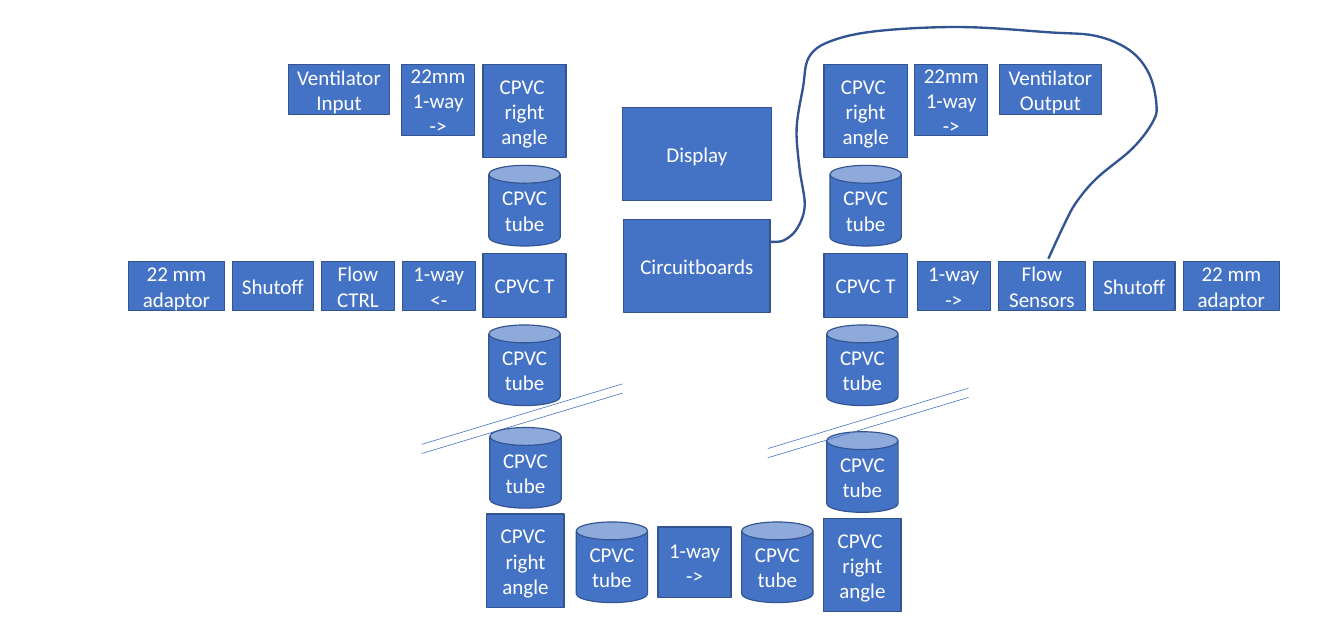
from lxml.etree import SubElement
from pptx import Presentation
from pptx.dml.color import RGBColor
from pptx.enum.shapes import MSO_CONNECTOR, MSO_SHAPE
from pptx.enum.text import MSO_ANCHOR, PP_ALIGN
from pptx.oxml.ns import qn
from pptx.util import Pt

COLORS = {"part": "4472C4", "edge": "325491", "label": "FFFFFF"}
LABEL_FONT = {"name": "Calibri", "size": Pt(18)}

# Sizes shared by several parts
PORT, VALVE, BRANCH_VALVE = (87.1, 42.5), (62.6, 60.5), (62.6, 42.5)

# Every part: (width, height), label
PARTS = {
    "input": (PORT, "Ventilator Input"),
    "output": (PORT, "Ventilator Output"),
    "port valve": (VALVE, "22mm\v1-way ->"),
    "bottom valve": (VALVE, "1-way ->"),
    "inlet valve": (BRANCH_VALVE, "1-way\n<-"),
    "outlet valve": (BRANCH_VALVE, "1-way\n->"),
    "flow control": (BRANCH_VALVE, "Flow CTRL"),
    "flow sensors": ((74.2, 42.5), "Flow Sensors"),
    "shutoff": ((69.8, 42.5), "Shutoff"),
    "adaptor": ((82.1, 42.5), "22 mm adaptor"),
    "elbow": ((71.3, 79.9), "CPVC \nright angle"),
    "lower elbow": ((66.2, 79.9), "CPVC \nright angle"),
    "tee": ((71.3, 54.7), "CPVC T"),
    "tube": ((61.2, 69.1), "CPVC tube"),
    "display": ((127.4, 79.9), "Display"),
    "boards": ((125.3, 79.9), "Circuitboards"),
}

# Levels shared by both sides, and the gaps between neighbours
PORT_TOP, BRANCH_TOP, MIDDLE_TUBE_TOP, BOTTOM_CENTER = 55.4, 223.9, 278.6, 482
COLUMN_GAP, LOWER_GAP, PORT_GAP, BOTTOM_GAP = 6.5, 5, 10.1, 9
BREAK_WIDTH, BREAK_RISE, BREAK_SPACING = 172.1, 51.8, 7.9

# Points that the sensor wire passes through, stretch by stretch
WIRE_ROUTE = {
    "up from the flow sensors": [(898.6, 221.8), (913, 190.8), (923, 172.8)],
    "slant to the right": [(940.3, 152.6), (970.6, 127.4), (987.8, 105.1)],
    "right bend": [(991.3, 90), (985, 63.4), (968.4, 43.2), (939.6, 30.9)],
    "over the top": [(900, 27.8), (824, 23.2), (752.4, 26.6), (712.1, 35.3)],
    "left bend": [(693.4, 49), (688.3, 75), (682.8, 110)],
    "down to the boards": [(685.4, 145), (689.8, 176), (683.3, 195.8),
                           (672, 206), (661, 207.4)],
}
CURVE_STEPS = 6


def set_line(line, color, width):
    line.color.rgb = RGBColor.from_string(COLORS[color])
    line.width = Pt(width)


def add_part(slide, name, left, top):
    size, label = PARTS[name]
    preset = MSO_SHAPE.CAN if name == "tube" else MSO_SHAPE.RECTANGLE
    part = slide.shapes.add_shape(
        preset, *(Pt(length) for length in (left, top, *size)))
    part.shadow.inherit = False
    part.fill.solid()
    part.fill.fore_color.rgb = RGBColor.from_string(COLORS["part"])
    set_line(part.line, "edge", 1)
    frame = part.text_frame
    frame.word_wrap = True
    frame.vertical_anchor = MSO_ANCHOR.MIDDLE
    frame.text = label
    for paragraph in frame.paragraphs:
        paragraph.alignment = PP_ALIGN.CENTER
        for run in paragraph.runs:
            for attribute, value in LABEL_FONT.items():
                setattr(run.font, attribute, value)
            run.font.color.rgb = RGBColor.from_string(COLORS["label"])


def add_row(slide, names, left, y, gap, centered=False):
    """Parts side by side; y is their top, or their middle if centered."""
    for name in names:
        (width, height), _ = PARTS[name]
        add_part(slide, name, left, y - height / 2 if centered else y)
        left += width + gap


def add_column(slide, names, center, top, gap):
    """Parts one below the other, on a common vertical axis."""
    for name in names:
        (width, height), _ = PARTS[name]
        add_part(slide, name, center - width / 2, top)
        top += height + gap


def add_break(slide, left, bottom):
    """Two parallel slanted strokes where the tubing is interrupted."""
    for y in (bottom, bottom + BREAK_SPACING):
        stroke = slide.shapes.add_connector(
            MSO_CONNECTOR.STRAIGHT, Pt(left), Pt(y),
            Pt(left + BREAK_WIDTH), Pt(y - BREAK_RISE))
        set_line(stroke.line, "part", 0.5)
        SubElement(stroke.element.spPr, qn("a:effectLst"))


def spline(before, start, end, after, t):
    """One coordinate of a Catmull-Rom curve, t running from start to end."""
    return (start + (end - before) * t / 2
            + (2 * before - 5 * start + 4 * end - after) * t ** 2 / 2
            + (3 * start - before - 3 * end + after) * t ** 3 / 2)


def smooth(points):
    """Fill in a smooth curve between the points."""
    padded = [points[0], *points, points[-1]]
    curve = [points[0]]
    for neighbours in zip(padded, padded[1:], padded[2:], padded[3:]):
        xs, ys = zip(*neighbours)
        for step in range(1, CURVE_STEPS + 1):
            t = step / CURVE_STEPS
            curve.append((spline(*xs, t), spline(*ys, t)))
    return curve


def add_wire(slide, route):
    waypoints = [point for stretch in route.values() for point in stretch]
    start, *rest = [(Pt(x), Pt(y)) for x, y in smooth(waypoints)]
    builder = slide.shapes.build_freeform(*start)
    builder.add_line_segments(rest, close=False)
    wire = builder.convert_to_shape()
    wire.shadow.inherit = False
    wire.fill.background()
    set_line(wire.line, "edge", 2)


def main():
    deck = Presentation()
    deck.slide_width, deck.slide_height = Pt(1152), Pt(540)
    slide = deck.slides.add_slide(deck.slide_layouts[6])
    upper_column = ["elbow", "tube", "tee"]
    lower_column = ["tube", "lower elbow"]

    # Inlet side; the lower tube covers the break
    add_row(slide, ["input", "port valve"], 247, PORT_TOP, PORT_GAP)
    add_column(slide, upper_column, 449.6, PORT_TOP, COLUMN_GAP)
    add_row(slide, ["adaptor", "shutoff", "flow control", "inlet valve"],
            110.2, BRANCH_TOP, 6.7)
    add_column(slide, ["tube"], 449.6, MIDDLE_TUBE_TOP, COLUMN_GAP)
    add_break(slide, 361.4, 380.9)
    add_column(slide, lower_column, 450.4, 366.5, LOWER_GAP)

    # Run along the bottom
    add_row(slide, ["tube", "bottom valve", "tube"],
            493.9, BOTTOM_CENTER, BOTTOM_GAP, centered=True)

    # Outlet side; the break crosses the lower tube
    add_column(slide, lower_column, 739.2, 370.1, LOWER_GAP)
    add_break(slide, 658.1, 384.5)
    add_column(slide, ["tube"], 739.2, MIDDLE_TUBE_TOP, COLUMN_GAP)
    add_column(slide, upper_column, 742, PORT_TOP, COLUMN_GAP)
    add_row(slide, ["outlet valve", "flow sensors", "shutoff", "adaptor"],
            786.2, BRANCH_TOP, 7.2)
    add_row(slide, ["port valve", "output"], 784.1, PORT_TOP, PORT_GAP)

    # Electronics and their wire
    add_column(slide, ["display", "boards"], 597.4, 92.2, 15.8)
    add_wire(slide, WIRE_ROUTE)

    deck.save("out.pptx")


if __name__ == "__main__":
    main()
